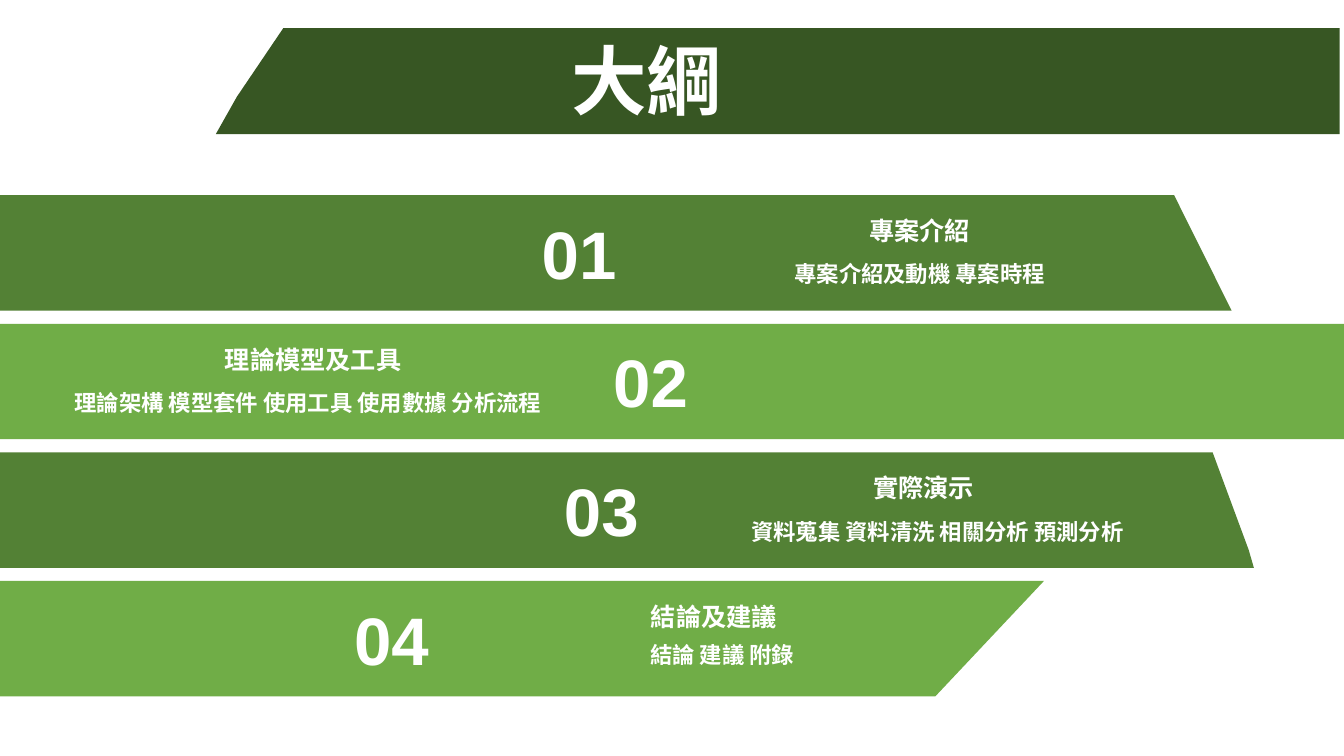
from pptx import Presentation
from pptx.dml.color import RGBColor
from pptx.enum.shapes import MSO_SHAPE
from pptx.enum.text import MSO_ANCHOR, MSO_AUTO_SIZE, PP_ALIGN
from pptx.util import Cm, Pt

# Content: lengths in cm
COLORS = {"title": "375623", "dark": "538135", "light": "70AD47", "text": "FFFFFF"}
SLIDE_WIDTH, SLIDE_HEIGHT = 33.87, 19.05
TITLE = "大綱"
TITLE_OUTLINE = [(7.14, 0.71), (33.76, 0.71), (33.76, 3.38), (5.44, 3.38), (5.97, 2.44)]

# edge: points of the slanted right end, as x and distance below the band top
SECTIONS = [
    {"number": "01", "heading": "專案介紹", "detail": "專案介紹及動機 專案時程",
     "color": "dark", "edge": [(29.59, 0), (31.04, 2.91)],
     "number_x": 13.26, "heading_x": 16.92, "detail_x": 16.92},
    {"number": "02", "heading": "理論模型及工具",
     "detail": "理論架構 模型套件 使用工具 使用數據 分析流程",
     "color": "light", "edge": None, "detail_align": PP_ALIGN.LEFT,
     "number_x": 15.06, "heading_x": 1.63, "detail_x": 1.63},
    {"number": "03", "heading": "實際演示", "detail": "資料蒐集 資料清洗 相關分析 預測分析",
     "color": "dark", "edge": [(30.56, 0), (31.47, 2.46), (31.6, 2.91)],
     "number_x": 13.82, "heading_x": 17.02, "detail_x": 17.37},
    {"number": "04", "heading": "結論及建議", "detail": "結論 建議 附錄",
     "color": "light", "edge": [(26.31, 0), (23.57, 2.91)], "detail_y": 1.4,
     "number_x": 8.53, "heading_x": 11.73, "detail_x": 11.94},
]

# Layout rules
BAND_TOP, BAND_HEIGHT, BAND_PITCH = 4.92, 2.91, 3.24
NUMBER_Y, HEADING_Y, DETAIL_Y = 0.3, 0.38, 1.52
NUMBER_SIZE, HEADING_SIZE, DETAIL_SIZE = (2.67, 2.31), (12.52, 1.02), (12.52, 0.94)
FRAME_FORMAT = {"word_wrap": True, "auto_size": MSO_AUTO_SIZE.SHAPE_TO_FIT_TEXT}
FONT_FORMAT = {"name": "Arial", "bold": True}

prs = Presentation()
prs.slide_width, prs.slide_height = Cm(SLIDE_WIDTH), Cm(SLIDE_HEIGHT)
slide = prs.slides.add_slide(prs.slide_layouts[6])


def paint(band, color):
    band.shadow.inherit = False
    band.fill.solid()
    band.fill.fore_color.rgb = RGBColor.from_string(COLORS[color])
    band.line.fill.background()


def add_outline(points, color):
    start, *rest = [(Cm(x), Cm(y)) for x, y in points]
    builder = slide.shapes.build_freeform(*start)
    builder.add_line_segments(rest, close=True)
    paint(builder.convert_to_shape(), color)


def add_label(text, x, y, size, points, align=PP_ALIGN.CENTER, anchor=MSO_ANCHOR.TOP):
    frame = slide.shapes.add_textbox(Cm(x), Cm(y), *map(Cm, size)).text_frame
    for name, value in {**FRAME_FORMAT, "vertical_anchor": anchor}.items():
        setattr(frame, name, value)
    paragraph = frame.paragraphs[0]
    paragraph.alignment = align
    run = paragraph.add_run()
    run.text = text
    for name, value in {**FONT_FORMAT, "size": Pt(points)}.items():
        setattr(run.font, name, value)
    run.font.color.rgb = RGBColor.from_string(COLORS["text"])


# Title banner
add_outline(TITLE_OUTLINE, "title")
add_label(TITLE, 14.15, 0.71, (9.73, 2.59), 54, PP_ALIGN.LEFT, MSO_ANCHOR.MIDDLE)

# Section bands
for index, section in enumerate(SECTIONS):
    top = BAND_TOP + index * BAND_PITCH
    if section["edge"]:
        edge = [(x, top + dy) for x, dy in section["edge"]]
        add_outline([(0, top), *edge, (0, top + BAND_HEIGHT)], section["color"])
    else:
        band = slide.shapes.add_shape(
            MSO_SHAPE.RECTANGLE, 0, Cm(top), Cm(SLIDE_WIDTH), Cm(BAND_HEIGHT))
        paint(band, section["color"])
    add_label(section["number"], section["number_x"], top + NUMBER_Y, NUMBER_SIZE, 48)
    add_label(section["heading"], section["heading_x"], top + HEADING_Y, HEADING_SIZE, 18)
    add_label(section["detail"], section["detail_x"],
              top + section.get("detail_y", DETAIL_Y), DETAIL_SIZE, 16,
              section.get("detail_align", PP_ALIGN.CENTER))

prs.save("out.pptx")
